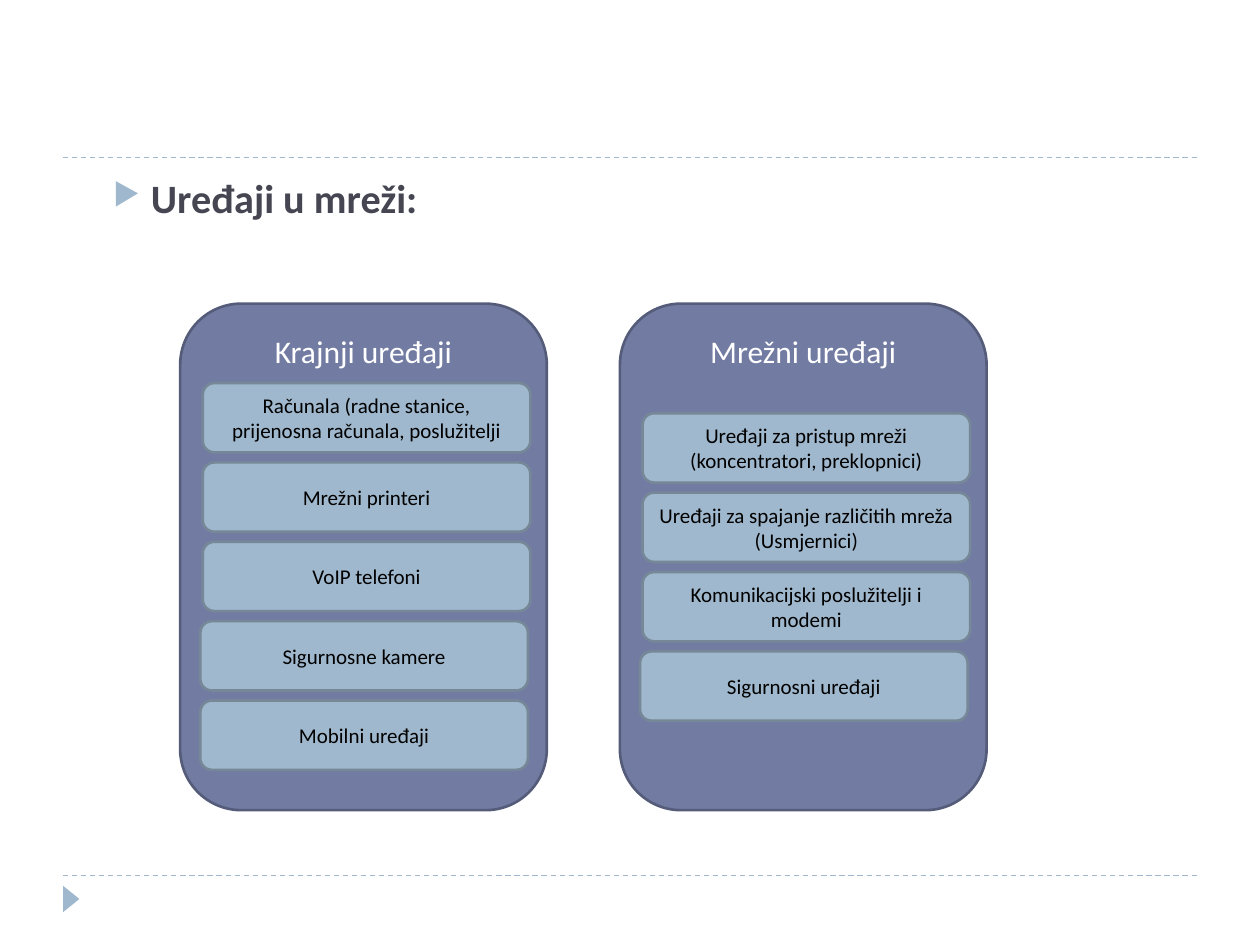
from lxml import etree
from pptx import Presentation
from pptx.dml.color import RGBColor
from pptx.enum.dml import MSO_LINE
from pptx.enum.shapes import MSO_CONNECTOR, MSO_SHAPE
from pptx.enum.text import MSO_ANCHOR, PP_ALIGN
from pptx.oxml.ns import qn
from pptx.util import Inches, Pt

COLORS = {
    "accent": "9FB8CD",
    "heading": "464653",
    "panel": "727CA3",
    "panel_line": "545C79",
    "item_line": "768898",
    "white": "FFFFFF",
    "black": "000000",
}
FONT = "Calibri"
PANEL_WIDTH, PANEL_HEIGHT = 2.91, 4.02
ITEM_WIDTH, ITEM_HEIGHT, ITEM_STEP = 2.6, 0.55, 0.63

# Panel left, title, offset of the first item, items as (offset from left, text)
PANELS = [
    (1.43, "Krajnji uređaji", 0.63, [
        (0.18, "Računala (radne stanice, prijenosna računala, poslužitelji"),
        (0.18, "Mrežni printeri"),
        (0.18, "VoIP telefoni"),
        (0.16, "Sigurnosne kamere"),
        (0.16, "Mobilni uređaji"),
    ]),
    (4.92, "Mrežni uređaji", 0.87, [
        (0.18, "Uređaji za pristup mreži (koncentratori, preklopnici)"),
        (0.18, "Uređaji za spajanje različitih mreža (Usmjernici)"),
        (0.18, "Komunikacijski poslužitelji i modemi"),
        (0.16, "Sigurnosni uređaji"),
    ]),
]


def color(name):
    return RGBColor.from_string(COLORS[name])


def style_font(font, size, color_name, bold=False):
    font.name = FONT
    font.size = Pt(size)
    font.bold = bold
    font.color.rgb = color(color_name)


def add_rule(slide, left, top, width):
    """Add a dashed horizontal line."""
    rule = slide.shapes.add_connector(
        MSO_CONNECTOR.STRAIGHT, Inches(left), Inches(top),
        Inches(left + width), Inches(top))
    rule.line.color.rgb = color("accent")
    rule.line.width = Pt(0.75)
    rule.line.dash_style = MSO_LINE.DASH
    etree.SubElement(rule._element.spPr, qn("a:effectLst"))


def add_page_marker(slide, left, top, width, height):
    marker = slide.shapes.add_shape(
        MSO_SHAPE.ISOSCELES_TRIANGLE, Inches(left), Inches(top),
        Inches(width), Inches(height))
    marker.rotation = 90
    marker.shadow.inherit = False
    marker.fill.solid()
    marker.fill.fore_color.rgb = color("accent")
    marker.line.fill.background()


def add_bullet(paragraph, char, size_percent, color_name):
    properties = paragraph._p.get_or_add_pPr()
    properties.set("marL", str(Inches(0.6)))
    properties.set("indent", str(Inches(-0.3)))
    bullet_color = etree.SubElement(properties, qn("a:buClr"))
    etree.SubElement(bullet_color, qn("a:srgbClr"), val=COLORS[color_name])
    etree.SubElement(properties, qn("a:buSzPct"), val=str(size_percent * 1000))
    etree.SubElement(properties, qn("a:buChar"), char=char)


def add_heading(slide, left, top, width, height, text):
    box = slide.shapes.add_textbox(
        Inches(left), Inches(top), Inches(width), Inches(height))
    box.text_frame.word_wrap = True
    paragraph = box.text_frame.paragraphs[0]
    paragraph.text = text
    add_bullet(paragraph, "▶", 76, "accent")
    style_font(paragraph.font, 23, "heading", bold=True)


def add_rounded_box(slide, left, top, width, height, fill, line, text, size,
                    text_color, anchor=MSO_ANCHOR.MIDDLE):
    box = slide.shapes.add_shape(
        MSO_SHAPE.ROUNDED_RECTANGLE, Inches(left), Inches(top),
        Inches(width), Inches(height))
    box.shadow.inherit = False
    box.fill.solid()
    box.fill.fore_color.rgb = color(fill)
    box.line.color.rgb = color(line)
    box.line.width = Pt(1.5)
    frame = box.text_frame
    frame.word_wrap = True
    frame.vertical_anchor = anchor
    paragraph = frame.paragraphs[0]
    paragraph.text = text
    paragraph.alignment = PP_ALIGN.CENTER
    style_font(paragraph.font, size, text_color)
    return box


def add_panel(slide, left, top, title, first_offset, items):
    """Add a titled panel with its stack of device boxes."""
    panel = add_rounded_box(
        slide, left, top, PANEL_WIDTH, PANEL_HEIGHT, "panel", "panel_line",
        title, 18, "white", MSO_ANCHOR.TOP)
    panel.text_frame.margin_top = Inches(0.08)
    for index, (offset, text) in enumerate(items):
        add_rounded_box(
            slide, left + offset, top + first_offset + index * ITEM_STEP,
            ITEM_WIDTH, ITEM_HEIGHT, "accent", "item_line", text, 12, "black")


def main():
    presentation = Presentation()
    presentation.slide_width = Inches(10)
    presentation.slide_height = Inches(7.5)
    slide = presentation.slides.add_slide(presentation.slide_layouts[6])
    for top in (6.95, 1.25):
        add_rule(slide, 0.5, top, 9)
    add_page_marker(slide, 0.46, 7.07, 0.21, 0.13)
    add_heading(slide, 0.5, 1.33, 9, 5.4, "Uređaji u mreži:")
    for left, title, first_offset, items in PANELS:
        add_panel(slide, left, 2.41, title, first_offset, items)
    presentation.save("out.pptx")


if __name__ == "__main__":
    main()
